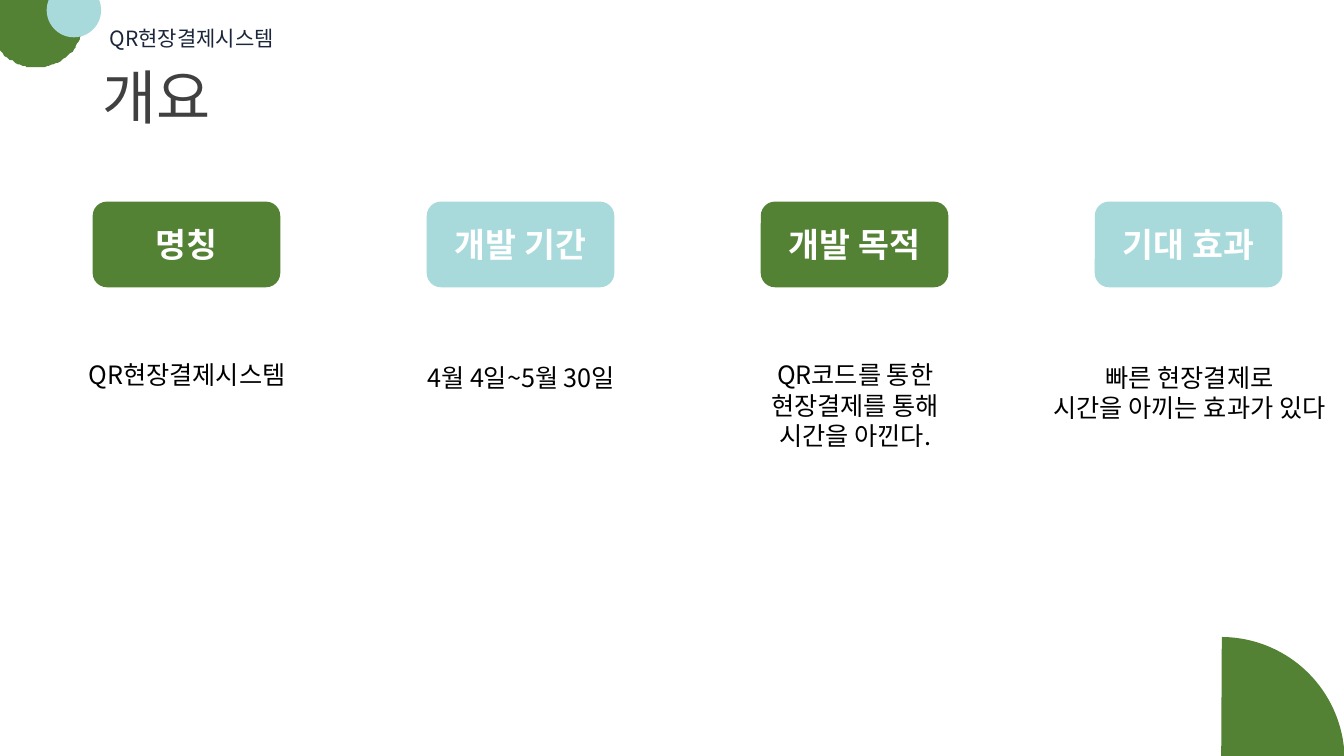
from math import asin, acos, cos, sin

from lxml import etree
from pptx import Presentation
from pptx.dml.color import RGBColor
from pptx.enum.shapes import MSO_SHAPE
from pptx.enum.text import MSO_ANCHOR, MSO_AUTO_SIZE, PP_ALIGN
from pptx.oxml.ns import qn
from pptx.util import Pt

GREEN = RGBColor(0x54, 0x82, 0x35)
AQUA = RGBColor(0xA8, 0xDA, 0xDC)
NAVY = RGBColor(0x1B, 0x26, 0x3B)
GRAY = RGBColor(0x40, 0x40, 0x40)
BLACK = RGBColor(0, 0, 0)
WHITE = RGBColor(0xFF, 0xFF, 0xFF)
FONT = "Noto Sans CJK KR"
LEFT, CENTER = PP_ALIGN.LEFT, PP_ALIGN.CENTER
TOP, MIDDLE = MSO_ANCHOR.TOP, MSO_ANCHOR.MIDDLE


def paint(shape, color):
    shape.shadow.inherit = False
    shape.fill.solid()
    shape.fill.fore_color.rgb = color
    shape.line.fill.background()


def write(shape, text, size, color, align, anchor, bold=False, wrap=True):
    """Fill the shape with one paragraph; newlines become line breaks."""
    frame = shape.text_frame
    frame.auto_size = MSO_AUTO_SIZE.NONE
    frame.word_wrap = wrap
    frame.vertical_anchor = anchor
    para = frame.paragraphs[0]
    para.alignment = align
    for index, line in enumerate(text.split("\n")):
        if index:
            para.add_line_break()
        span = para.add_run()
        span.text = line
        span.font.name = FONT
        span.font.size = Pt(size)
        span.font.bold = bold
        span.font.color.rgb = color
        east_asian = etree.SubElement(span.font._element, qn("a:ea"))
        east_asian.set("typeface", FONT)


deck = Presentation()
deck.slide_width, deck.slide_height = Pt(960), Pt(540)
page = deck.slides.add_slide(deck.slide_layouts[5])
shapes = page.shapes

# Corner circle, cut off by the top and left edges of the slide
center_x, center_y, radius = 26, 14.4, 33.8
start, end = asin(-center_y / radius), acos(-center_x / radius)
steps = 60
angles = [start + (end - start) * step / steps for step in range(steps + 1)]
arc = [(center_x + radius * cos(a), center_y + radius * sin(a)) for a in angles]
outline = shapes.build_freeform(0, 0, scale=Pt(1))
outline.add_line_segments(arc, close=True)
paint(outline.convert_to_shape(), GREEN)

# Round ornaments: shape, left, top, diameter, angles, color
ornaments = [
    (MSO_SHAPE.CHORD, 33.4, -12.2, 38.9, (202.62, 121.26), AQUA),
    (MSO_SHAPE.PIE, 784.1, 455, 176.4, (162.18, 215.58), GREEN),
]
for kind, left, top, diameter, limits, color in ornaments:
    ornament = shapes.add_shape(kind, Pt(left), Pt(top), Pt(diameter), Pt(diameter))
    ornament.adjustments[0], ornament.adjustments[1] = limits
    paint(ornament, color)

header = shapes.add_textbox(Pt(71.3), Pt(14.4), Pt(195), Pt(25.2))
write(header, "QR현장결제시스템", 15, NAVY, LEFT, TOP)

title = shapes.title
title.left, title.top, title.width, title.height = Pt(66.2), Pt(39.6), Pt(512), Pt(57.6)
write(title, "개요", 42, GRAY, LEFT, MIDDLE)

# Columns: heading, color, caption, caption left, top, width, height, wrap
columns = [
    ("명칭", GREEN, "QR현장결제시스템", 54, 253.4, 159, 29, False),
    ("개발 기간", AQUA, "4월 4일~5월 30일", 292.3, 254.9, 160, 51, True),
    ("개발 목적", GREEN, "QR코드를 통한\n현장결제를 통해\n시간을 아낀다.", 541.4, 253.4, 139, 73, False),
    ("기대 효과", AQUA, "빠른 현장결제로\n시간을 아끼는 효과가 있다", 740.9, 254.9, 217.4, 51, False),
]
for index, (heading, color, caption, left, top, width, height, wrap) in enumerate(columns):
    card = shapes.add_shape(MSO_SHAPE.ROUNDED_RECTANGLE, Pt(66.2 + 238.6 * index), Pt(144), Pt(134), Pt(61.2))
    paint(card, color)
    write(card, heading, 24, WHITE, CENTER, MIDDLE, bold=True)
    box = shapes.add_textbox(Pt(left), Pt(top), Pt(width), Pt(height))
    write(box, caption, 18, BLACK, CENTER, TOP, wrap=wrap)

deck.save("out.pptx")
